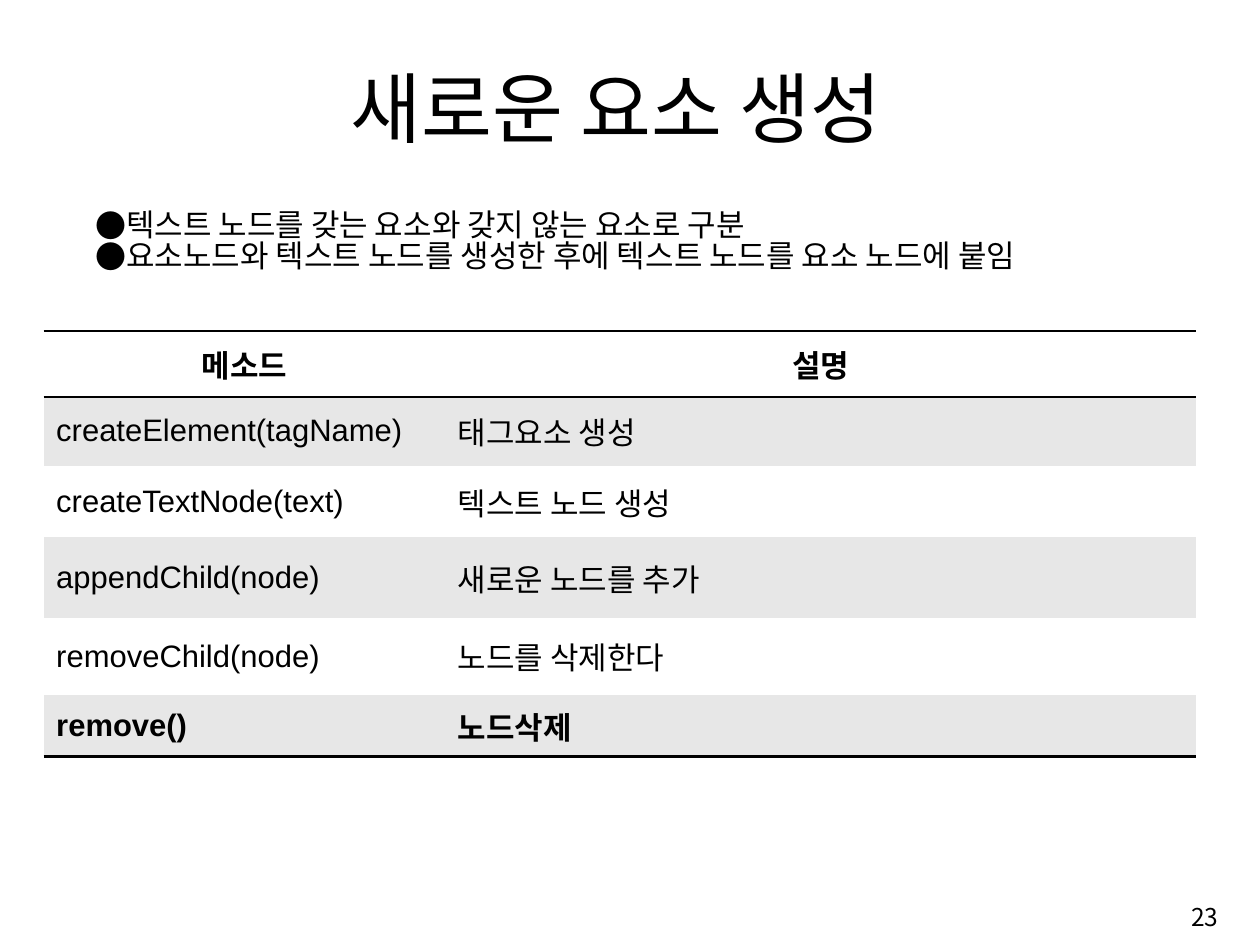
import pptx
import pptx.dml.color
import pptx.enum.text
import pptx.oxml
import pptx.oxml.ns
import pptx.util

Inches = pptx.util.Inches
Pt = pptx.util.Pt
ALIGN = pptx.enum.text.PP_ALIGN
ANCHOR = pptx.enum.text.MSO_ANCHOR

BLACK = pptx.dml.color.RGBColor(0x00, 0x00, 0x00)
WHITE = pptx.dml.color.RGBColor(0xFF, 0xFF, 0xFF)
GRAY = pptx.dml.color.RGBColor(0xE7, 0xE7, 0xE7)

KOREAN = "Noto Sans CJK KR"
LATIN = "Arial"
NO_STYLE = "{2D5ABB26-0587-4C30-8999-92F81FD0307C}"

TITLE = "새로운 요소 생성"
POINTS = [
    "텍스트 노드를 갖는 요소와 갖지 않는 요소로 구분",
    "요소노드와 텍스트 노드를 생성한 후에 텍스트 노드를 요소 노드에 붙임",
]
METHODS = [
    ("메소드", "설명"),
    ("createElement(tagName)", "태그요소 생성"),
    ("createTextNode(text)", "텍스트 노드 생성"),
    ("appendChild(node)", "새로운 노드를 추가"),
    ("removeChild(node)", "노드를 삭제한다"),
    ("remove()", "노드삭제"),
]
COL_WIDTHS = [4.14, 7.74]
ROW_HEIGHTS = [0.68, 0.71, 0.74, 0.83, 0.79, 0.64]


def xml(tag, attrs="", inner=""):
    ns = pptx.oxml.ns.nsdecls("a")
    return pptx.oxml.parse_xml(f"<a:{tag} {ns} {attrs}>{inner}</a:{tag}>")


def place(sp, left, top, width, height):
    sp.left, sp.top = Inches(left), Inches(top)
    sp.width, sp.height = Inches(width), Inches(height)


def format_paragraph(p, size, align=ALIGN.LEFT, font=KOREAN, bold=False):
    p.alignment = align
    for r in p.runs:
        r.font.size = Pt(size)
        r.font.name = font
        r.font.bold = bold
        r.font.color.rgb = BLACK
        r.font._element.find(pptx.oxml.ns.qn("a:latin")).addnext(
            xml("ea", f'typeface="{font}"'))


def fill_title(sp, *box):
    place(sp, *box)
    tf = sp.text_frame
    tf.text = TITLE
    tf.auto_size = pptx.enum.text.MSO_AUTO_SIZE.NONE
    tf.vertical_anchor = ANCHOR.BOTTOM
    tf.margin_top = tf.margin_bottom = 0
    p = tf.paragraphs[0]
    p.line_spacing = 0.8
    format_paragraph(p, 57.2, ALIGN.CENTER)


def fill_points(sp, *box):
    place(sp, *box)
    tf = sp.text_frame
    tf.text = "\n".join(POINTS)
    tf.auto_size = pptx.enum.text.MSO_AUTO_SIZE.NONE
    tf.vertical_anchor = ANCHOR.BOTTOM
    for p in tf.paragraphs:
        p.space_before = p.space_after = Pt(0)
        p.line_spacing = 0.83
        format_paragraph(p, 23)
        pPr = p._p.get_or_add_pPr()
        indent = Inches(0.29)
        pPr.set("marL", str(indent))
        pPr.set("indent", str(-indent))
        pPr.append(xml("buFont", f'typeface="{KOREAN}"'))
        pPr.append(xml("buChar", 'char="●"'))


def add_rules(cell, sides):
    """Draw 2 pt black borders on the given sides, in the order T, B."""
    tcPr = cell._tc.get_or_add_tcPr()
    line_fill = f'<a:solidFill><a:srgbClr val="{BLACK}"/></a:solidFill>'
    for i, side in enumerate(sides):
        tcPr.insert(i, xml(f"ln{side}", f'w="{Pt(2)}"', line_fill))


def add_method_table(slide, left, top):
    last = len(METHODS) - 1
    frame = slide.shapes.add_table(
        len(METHODS), len(COL_WIDTHS), Inches(left), Inches(top),
        Inches(sum(COL_WIDTHS)), Inches(sum(ROW_HEIGHTS)))
    table = frame.table
    style = table._tbl.tblPr.find(pptx.oxml.ns.qn("a:tableStyleId"))
    style.text = NO_STYLE
    for col, width in zip(table.columns, COL_WIDTHS):
        col.width = Inches(width)
    for i, (row, texts) in enumerate(zip(table.rows, METHODS)):
        row.height = Inches(ROW_HEIGHTS[i])
        for j, (cell, text) in enumerate(zip(row.cells, texts)):
            cell.text = text
            cell.vertical_anchor = ANCHOR.MIDDLE
            cell.margin_left = cell.margin_right = Inches(0.13)
            cell.margin_top = cell.margin_bottom = Inches(0.06)
            cell.fill.solid()
            cell.fill.fore_color.rgb = GRAY if i % 2 else WHITE
            format_paragraph(
                cell.text_frame.paragraphs[0], 23,
                ALIGN.LEFT if i else ALIGN.CENTER,
                LATIN if i and j == 0 else KOREAN,
                i in (0, last))
            add_rules(cell, {0: "TB", last: "B"}.get(i, ""))


def add_page_number(slide, number, *box):
    sp = slide.shapes.add_textbox(*map(Inches, box))
    tf = sp.text_frame
    tf.word_wrap = True
    tf.vertical_anchor = ANCHOR.MIDDLE
    tf.text = number
    format_paragraph(tf.paragraphs[0], 18.2, ALIGN.RIGHT)


def main():
    prs = pptx.Presentation()
    prs.slide_width, prs.slide_height = Inches(12.99), Inches(9.74)
    slide = prs.slides.add_slide(prs.slide_layouts[1])
    fill_title(slide.shapes.title, 1.05, 0.61, 10.61, 0.96)
    fill_points(slide.placeholders[1], 0.88, 1.79, 11.03, 1.08)
    add_method_table(slide, 0.45, 3.41)
    add_page_number(slide, "23", 9.98, 9.15, 2.68, 0.6)
    prs.save("out.pptx")


if __name__ == "__main__":
    main()
